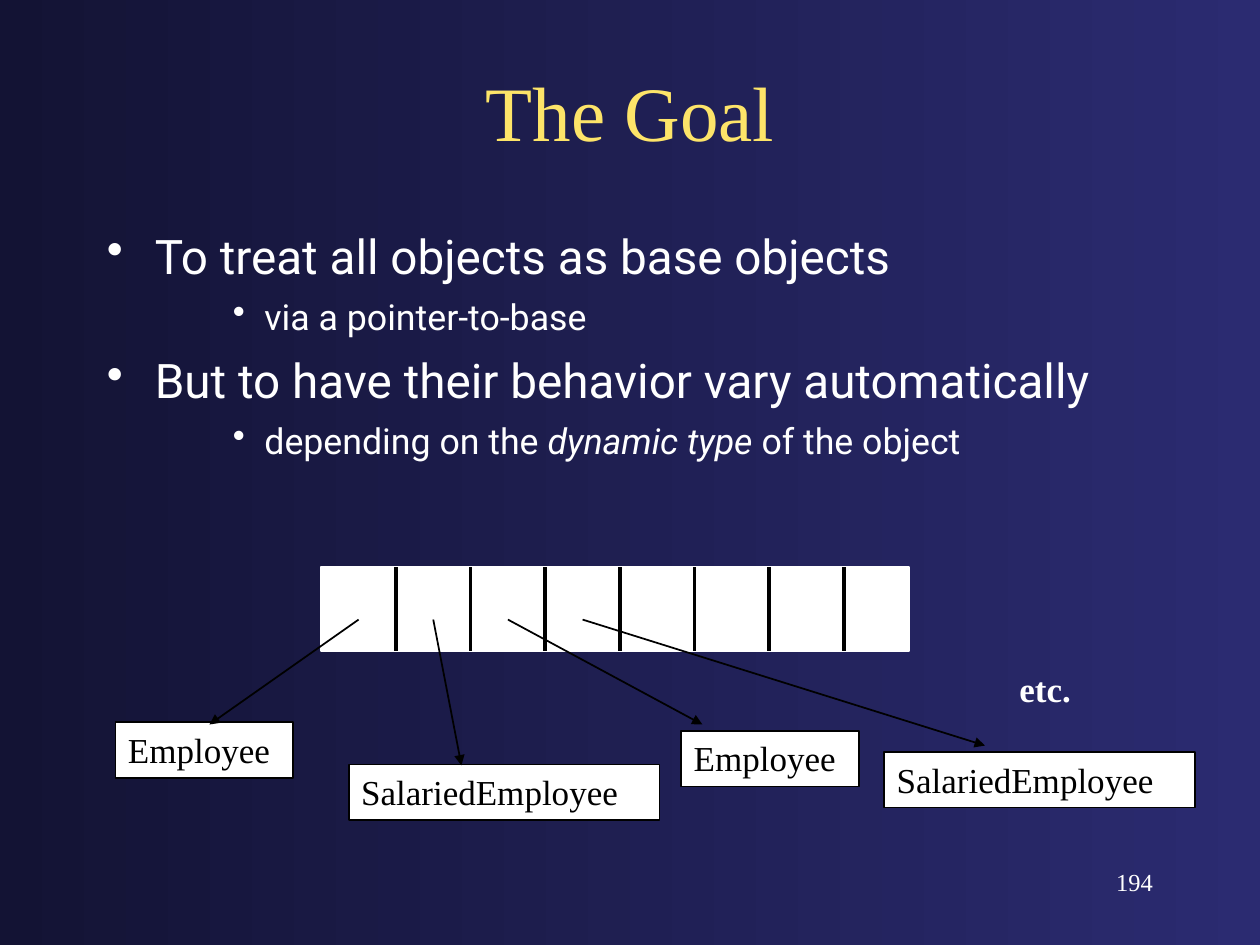
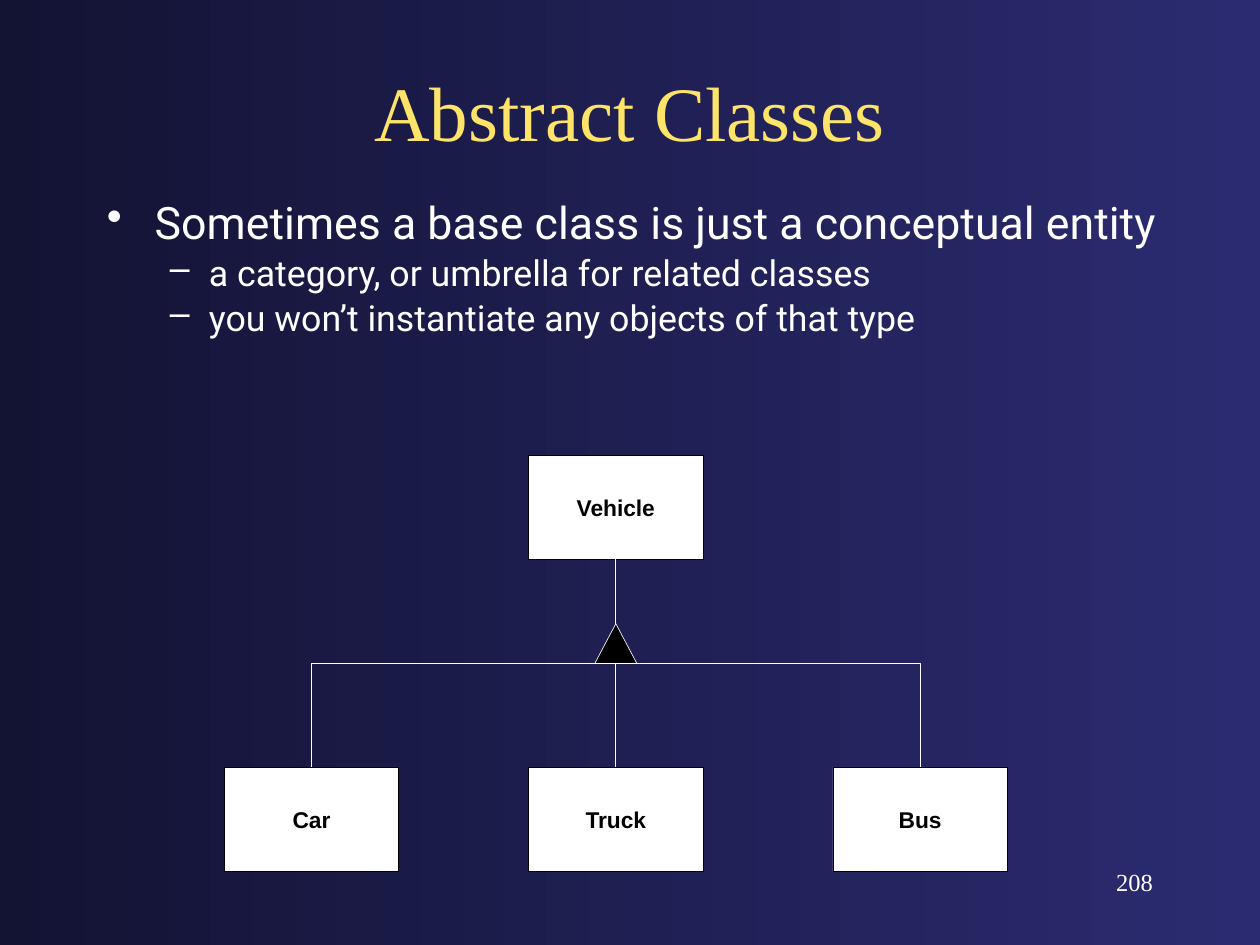
"""Build two slides on polymorphism: an array of base pointers and an abstract class tree."""
from typing import NamedTuple

from lxml import etree
from pptx import Presentation
from pptx.dml.color import RGBColor
from pptx.enum.shapes import MSO_CONNECTOR, MSO_SHAPE
from pptx.enum.text import MSO_ANCHOR, MSO_AUTO_SIZE, PP_ALIGN
from pptx.oxml.ns import qn
from pptx.presentation import Presentation as Deck
from pptx.shapes.autoshape import Shape
from pptx.slide import Slide
from pptx.text.text import TextFrame, _Paragraph
from pptx.util import Emu, Inches, Pt

RECTANGLE = MSO_SHAPE.RECTANGLE
TRIANGLE = MSO_SHAPE.ISOSCELES_TRIANGLE
STRAIGHT = MSO_CONNECTOR.STRAIGHT
LEFT, CENTER, RIGHT = PP_ALIGN.LEFT, PP_ALIGN.CENTER, PP_ALIGN.RIGHT
TOP, MIDDLE = MSO_ANCHOR.TOP, MSO_ANCHOR.MIDDLE
NO_AUTOFIT = MSO_AUTO_SIZE.NONE

WHITE = RGBColor(0xFF, 0xFF, 0xFF)
BLACK = RGBColor(0x00, 0x00, 0x00)
TITLE_YELLOW = RGBColor(0xFD, 0xE4, 0x69)
BRIGHT_NAVY = RGBColor(0x2B, 0x2B, 0x71)
DARK_NAVY = RGBColor(0x13, 0x13, 0x34)

SLIDE_WIDTH, SLIDE_HEIGHT = Inches(10), Inches(7.5)
COLUMNS, ROWS = 40, 30
TITLE_ONLY = 5
HAIRLINE = 0.37


class Area(NamedTuple):
    """A rectangle in grid columns and rows."""

    column: float
    row: float
    columns: float
    rows: float


class Point(NamedTuple):
    """A position in grid columns and rows."""

    column: float
    row: float


class TextStyle(NamedTuple):
    """Font and placement of the text in a box."""

    font: str
    size: float
    color: RGBColor
    bold: bool = False
    align: PP_ALIGN = LEFT
    anchor: MSO_ANCHOR = TOP


class Level(NamedTuple):
    """Look of one bullet level, with indents in inches."""

    bullet: str
    size: float
    margin: float
    hanging: float
    space_before: float
    line_spacing: float = 1.0


class Bullet(NamedTuple):
    """A bulleted line, with an optional part to set in italics."""

    level: Level
    text: str
    italic: str = ""


class ObjectBox(NamedTuple):
    """An object in memory and the tip of the arrow that reaches it."""

    name: str
    area: Area
    arrow_tip: Point


TITLE_AREA = Area(3, 1, 34, 5)
NUMBER_AREA = Area(28.67, 27.33, 8.33, 2)
TITLE_STYLE = TextStyle("Times New Roman", 44, TITLE_YELLOW, align=CENTER, anchor=MIDDLE)
NUMBER_STYLE = TextStyle("Times New Roman", 14, WHITE, align=RIGHT)
OBJECT_STYLE = TextStyle("Times New Roman", 20, BLACK)
ETC_STYLE = TextStyle("Times New Roman", 20, WHITE, bold=True)
CLASS_STYLE = TextStyle("Arial", 13, BLACK, bold=True, align=CENTER, anchor=MIDDLE)

GOAL_POINT = Level("•", 27.2, 0.38, 0.38, 8)
GOAL_DETAIL = Level("•", 20.4, 1.25, 0.25, 6)
CLASS_POINT = Level("•", 25.5, 0.38, 0.38, 7.5)
CLASS_DETAIL = Level("–", 20.4, 0.81, 0.31, 6, 0.8)

GOAL_BULLETS = [
    Bullet(GOAL_POINT, "To treat all objects as base objects"),
    Bullet(GOAL_DETAIL, "via a pointer-to-base"),
    Bullet(GOAL_POINT, "But to have their behavior vary automatically"),
    Bullet(GOAL_DETAIL, "depending on the dynamic type of the object", "dynamic type"),
]
CLASS_BULLETS = [
    Bullet(CLASS_POINT, "Sometimes a base class is just a conceptual entity"),
    Bullet(CLASS_DETAIL, "a category, or umbrella for related classes"),
    Bullet(CLASS_DETAIL, "you won’t instantiate any objects of that type"),
]

ARRAY_AREA = Area(10.2, 18, 18.67, 2.67)
ARRAY_CELLS, CELL_COLUMNS = 8, 2.37
POINTER_ROW = 19.67
OBJECTS = [
    ObjectBox("Employee", Area(3.67, 22.93, 5.63, 1.77), Point(6.65, 23)),
    ObjectBox("SalariedEmployee", Area(11.07, 24.27, 9.87, 1.77), Point(14.65, 24.3)),
    ObjectBox("Employee", Area(21.63, 23.2, 5.63, 1.77), Point(22.3, 23)),
    ObjectBox("SalariedEmployee", Area(28.07, 23.87, 9.87, 1.77), Point(31.27, 23.67)),
]

TREE_CENTER, SIBLING_GAP = 19.55, 9.66
CLASS_COLUMNS, CLASS_ROWS = 5.53, 3.3
PARENT_ROW, TRIANGLE_ROW, BRANCH_ROW, CHILD_ROW = 14.45, 19.8, 21.06, 24.36
TRIANGLE_COLUMNS = 1.33
CHILD_CLASSES = ["Car", "Truck", "Bus"]


def across(columns: float) -> Emu:
    """Turn grid columns into a length."""
    return Emu(round(SLIDE_WIDTH * columns / COLUMNS))


def down(rows: float) -> Emu:
    """Turn grid rows into a length."""
    return Emu(round(SLIDE_HEIGHT * rows / ROWS))


def place(area: Area) -> tuple[Emu, Emu, Emu, Emu]:
    """Return left, top, width and height of an area."""
    return across(area.column), down(area.row), across(area.columns), down(area.rows)


def write(text_frame: TextFrame, text: str, style: TextStyle) -> None:
    """Put one styled paragraph in a text frame."""
    text_frame.text = text
    text_frame.word_wrap = True
    text_frame.auto_size = NO_AUTOFIT
    text_frame.vertical_anchor = style.anchor
    paragraph = text_frame.paragraphs[0]
    paragraph.alignment = style.align
    font = paragraph.runs[0].font
    font.name, font.size, font.bold = style.font, Pt(style.size), style.bold
    font.color.rgb = style.color


def add_label(slide: Slide, area: Area, text: str, style: TextStyle) -> None:
    """Add a text box without a frame."""
    write(slide.shapes.add_textbox(*place(area)).text_frame, text, style)


def add_figure(slide: Slide, kind: MSO_SHAPE, area: Area, fill: RGBColor,
               line: RGBColor, width: float) -> Shape:
    """Add a filled and outlined preset shape."""
    shape = slide.shapes.add_shape(kind, *place(area))
    shape.shadow.inherit = False
    shape.fill.solid()
    shape.fill.fore_color.rgb = fill
    shape.line.color.rgb = line
    shape.line.width = Pt(width)
    return shape


def add_line(slide: Slide, start: Point, end: Point, color: RGBColor,
             width: float, arrow: bool = False) -> None:
    """Add a straight line, with an arrowhead at its end on request."""
    connector = slide.shapes.add_connector(
        STRAIGHT, across(start.column), down(start.row), across(end.column), down(end.row))
    connector.line.color.rgb = color
    connector.line.width = Pt(width)
    properties = connector._element.spPr
    if arrow:
        etree.SubElement(properties.find(qn("a:ln")), qn("a:tailEnd"), type="triangle")
    etree.SubElement(properties, qn("a:effectLst"))


def add_elbow(slide: Slide, points: list[Point]) -> None:
    """Add an open white line through the points."""
    start, *others = [(across(point.column), down(point.row)) for point in points]
    builder = slide.shapes.build_freeform(*start)
    builder.add_line_segments(others, close=False)
    shape = builder.convert_to_shape()
    shape.shadow.inherit = False
    shape.fill.background()
    shape.line.color.rgb = WHITE
    shape.line.width = Pt(HAIRLINE)


def set_bullet(paragraph: _Paragraph, level: Level) -> None:
    """Give a paragraph the indent and bullet of its level."""
    properties = paragraph._p.get_or_add_pPr()
    properties.set("marL", str(Inches(level.margin)))
    properties.set("indent", str(-Inches(level.hanging)))
    color = etree.SubElement(properties, qn("a:buClr"))
    etree.SubElement(color, qn("a:srgbClr"), val=str(WHITE))
    etree.SubElement(properties, qn("a:buChar"), char=level.bullet)


def add_bullets(slide: Slide, area: Area, bullets: list[Bullet]) -> None:
    """Add the bulleted text of a slide."""
    text_frame = slide.shapes.add_textbox(*place(area)).text_frame
    text_frame.word_wrap = True
    for index, bullet in enumerate(bullets):
        paragraph = text_frame.add_paragraph() if index else text_frame.paragraphs[0]
        level = bullet.level
        set_bullet(paragraph, level)
        paragraph.space_before = Pt(level.space_before if index else 0)
        paragraph.line_spacing = level.line_spacing
        parts = bullet.text.partition(bullet.italic) if bullet.italic else [bullet.text]
        for part in parts:
            run = paragraph.add_run()
            run.text = part
            run.font.name, run.font.size = "Roboto", Pt(level.size)
            run.font.italic = part == bullet.italic
            run.font.color.rgb = WHITE


def add_slide(presentation: Deck, title: str, number: int) -> Slide:
    """Add a slide with the shared background, title and number."""
    slide = presentation.slides.add_slide(presentation.slide_layouts[TITLE_ONLY])
    background = slide.background.fill
    background.gradient()
    background.gradient_angle = 180
    for stop, color in zip(background.gradient_stops, (BRIGHT_NAVY, DARK_NAVY)):
        stop.color.rgb = color
    heading = slide.shapes.title
    heading.left, heading.top, heading.width, heading.height = place(TITLE_AREA)
    write(heading.text_frame, title, TITLE_STYLE)
    add_label(slide, NUMBER_AREA, str(number), NUMBER_STYLE)
    return slide


def build_goal(presentation: Deck) -> None:
    """Build the slide with the array of base pointers."""
    slide = add_slide(presentation, "The Goal", 194)
    add_bullets(slide, Area(3, 7, 35, 9), GOAL_BULLETS)
    add_figure(slide, RECTANGLE, ARRAY_AREA, WHITE, WHITE, 1)
    bottom = ARRAY_AREA.row + ARRAY_AREA.rows
    for cell in range(1, ARRAY_CELLS):
        column = ARRAY_AREA.column + cell * CELL_COLUMNS
        add_line(slide, Point(column, ARRAY_AREA.row), Point(column, bottom), BLACK, 2)
    for cell, item in enumerate(OBJECTS):
        box = add_figure(slide, RECTANGLE, item.area, WHITE, BLACK, 1)
        write(box.text_frame, item.name, OBJECT_STYLE)
        pointer = Point(ARRAY_AREA.column + (cell + 0.5) * CELL_COLUMNS, POINTER_ROW)
        add_line(slide, pointer, item.arrow_tip, BLACK, 1, arrow=True)
    add_label(slide, Area(31.97, 21, 3.83, 1.77), "etc.", ETC_STYLE)


def add_class(slide: Slide, name: str, center: float, row: float) -> None:
    """Add a class box centred on a column."""
    area = Area(center - CLASS_COLUMNS / 2, row, CLASS_COLUMNS, CLASS_ROWS)
    box = add_figure(slide, RECTANGLE, area, WHITE, BLACK, HAIRLINE)
    write(box.text_frame, name, CLASS_STYLE)


def build_abstract_classes(presentation: Deck) -> None:
    """Build the slide with the class tree."""
    slide = add_slide(presentation, "Abstract Classes", 208)
    add_bullets(slide, Area(3, 6, 35.67, 6.67), CLASS_BULLETS)
    add_class(slide, "Vehicle", TREE_CENTER, PARENT_ROW)
    triangle = Area(TREE_CENTER - TRIANGLE_COLUMNS / 2, TRIANGLE_ROW,
                    TRIANGLE_COLUMNS, BRANCH_ROW - TRIANGLE_ROW)
    add_figure(slide, TRIANGLE, triangle, BLACK, WHITE, HAIRLINE)
    add_line(slide, Point(TREE_CENTER, PARENT_ROW + CLASS_ROWS),
             Point(TREE_CENTER, TRIANGLE_ROW), WHITE, HAIRLINE)
    branch = Point(TREE_CENTER, BRANCH_ROW)
    for index, name in enumerate(CHILD_CLASSES):
        center = TREE_CENTER + (index - 1) * SIBLING_GAP
        child = Point(center, CHILD_ROW)
        add_class(slide, name, center, CHILD_ROW)
        if center == TREE_CENTER:
            add_line(slide, branch, child, WHITE, HAIRLINE)
        else:
            add_elbow(slide, [branch, Point(center, BRANCH_ROW), child])


def main() -> None:
    """Build and save the presentation."""
    presentation = Presentation()
    presentation.slide_width, presentation.slide_height = SLIDE_WIDTH, SLIDE_HEIGHT
    build_goal(presentation)
    build_abstract_classes(presentation)
    presentation.save("out.pptx")


if __name__ == "__main__":
    main()
